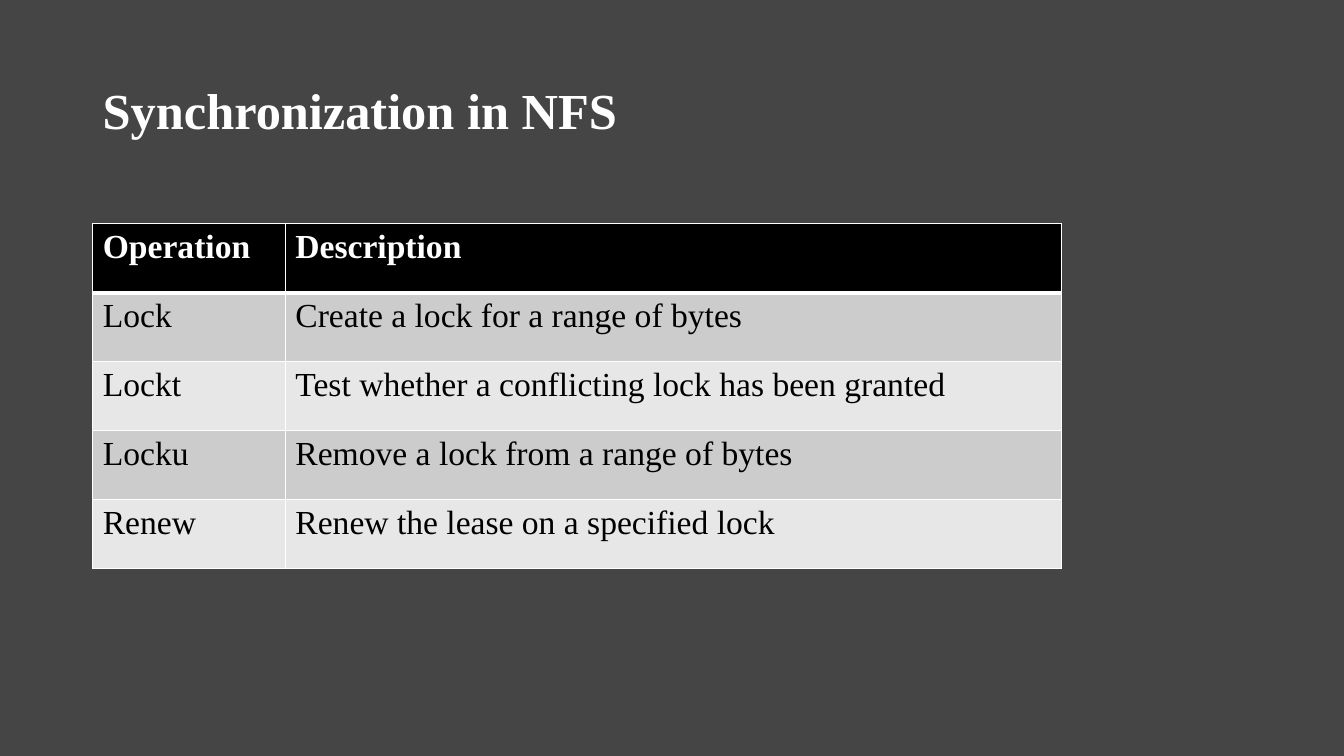
from dataclasses import dataclass

from lxml import etree
from pptx import Presentation
from pptx.dml.color import RGBColor
from pptx.enum.text import MSO_ANCHOR
from pptx.oxml.ns import qn
from pptx.util import Inches, Pt

MIDDLE = MSO_ANCHOR.MIDDLE


@dataclass(frozen=True)
class Theme:
    font: str = "Times New Roman"
    background: str = "454545"
    light: str = "FFFFFF"
    dark: str = "000000"
    bands: tuple = ("CCCCCC", "E7E7E7")
    title_size: int = 36
    table_size: int = 24
    thin_rule: int = 1
    header_rule: int = 3


THEME = Theme()
WIDTH, HEIGHT = 13.33, 7.5
LEFT = 0.92
TITLE_TOP, TITLE_WIDTH, TITLE_HEIGHT = 0.4, 11.5, 1.45
TABLE_TOP, TABLE_HEIGHT = 2.22, 3.42
COLUMN_WIDTHS = (1.91, 7.7)
OPERATIONS = (
    ("Operation", "Description"),
    ("Lock", "Create a lock for a range of bytes"),
    ("Lockt", "Test whether a conflicting lock has been granted"),
    ("Locku", "Remove a lock from a range of bytes"),
    ("Renew", "Renew the lease on a specified lock"),
)


def style_text(para, size, color, bold):
    para.font.name = THEME.font
    para.font.size = Pt(size)
    para.font.color.rgb = RGBColor.from_string(color)
    para.font.bold = bold


def add_border(cell, side, points):
    """Draw one cell edge; side is L, R, T or B, called in that order before filling."""
    properties = cell._tc.get_or_add_tcPr()
    line = etree.SubElement(properties, qn(f"a:ln{side}"), w=str(Pt(points)))
    fill = etree.SubElement(line, qn("a:solidFill"))
    etree.SubElement(fill, qn("a:srgbClr"), val=THEME.light)


deck = Presentation()
deck.slide_width, deck.slide_height = Inches(WIDTH), Inches(HEIGHT)
page = deck.slides.add_slide(deck.slide_layouts[6])
page.background.fill.solid()
page.background.fill.fore_color.rgb = RGBColor.from_string(THEME.background)

# Title
title_box = page.shapes.add_textbox(
    Inches(LEFT), Inches(TITLE_TOP), Inches(TITLE_WIDTH), Inches(TITLE_HEIGHT))
title_frame = title_box.text_frame
title_frame.word_wrap = True
title_frame.vertical_anchor = MIDDLE
title_para = title_frame.paragraphs[0]
title_para.text = "Synchronization in NFS"
title_para.line_spacing = 0.9
style_text(title_para, THEME.title_size, THEME.light, True)

# Table of lock operations
table = page.shapes.add_table(
    len(OPERATIONS), len(COLUMN_WIDTHS), Inches(LEFT), Inches(TABLE_TOP),
    Inches(sum(COLUMN_WIDTHS)), Inches(TABLE_HEIGHT)).table
for column, width in zip(table.columns, COLUMN_WIDTHS):
    column.width = Inches(width)

for row_index, texts in enumerate(OPERATIONS):
    is_header = row_index == 0
    fill_color = THEME.dark if is_header else THEME.bands[(row_index - 1) % 2]
    text_color = THEME.light if is_header else THEME.dark
    top_rule = THEME.header_rule if row_index == 1 else THEME.thin_rule
    bottom_rule = THEME.header_rule if is_header else THEME.thin_rule
    rules = zip("LRTB", (THEME.thin_rule, THEME.thin_rule, top_rule, bottom_rule))
    edges = tuple(rules)
    for column_index, text in enumerate(texts):
        cell = table.cell(row_index, column_index)
        cell.text = text
        style_text(cell.text_frame.paragraphs[0], THEME.table_size, text_color, is_header)
        for side, points in edges:
            add_border(cell, side, points)
        cell.fill.solid()
        cell.fill.fore_color.rgb = RGBColor.from_string(fill_color)

deck.save("out.pptx")
